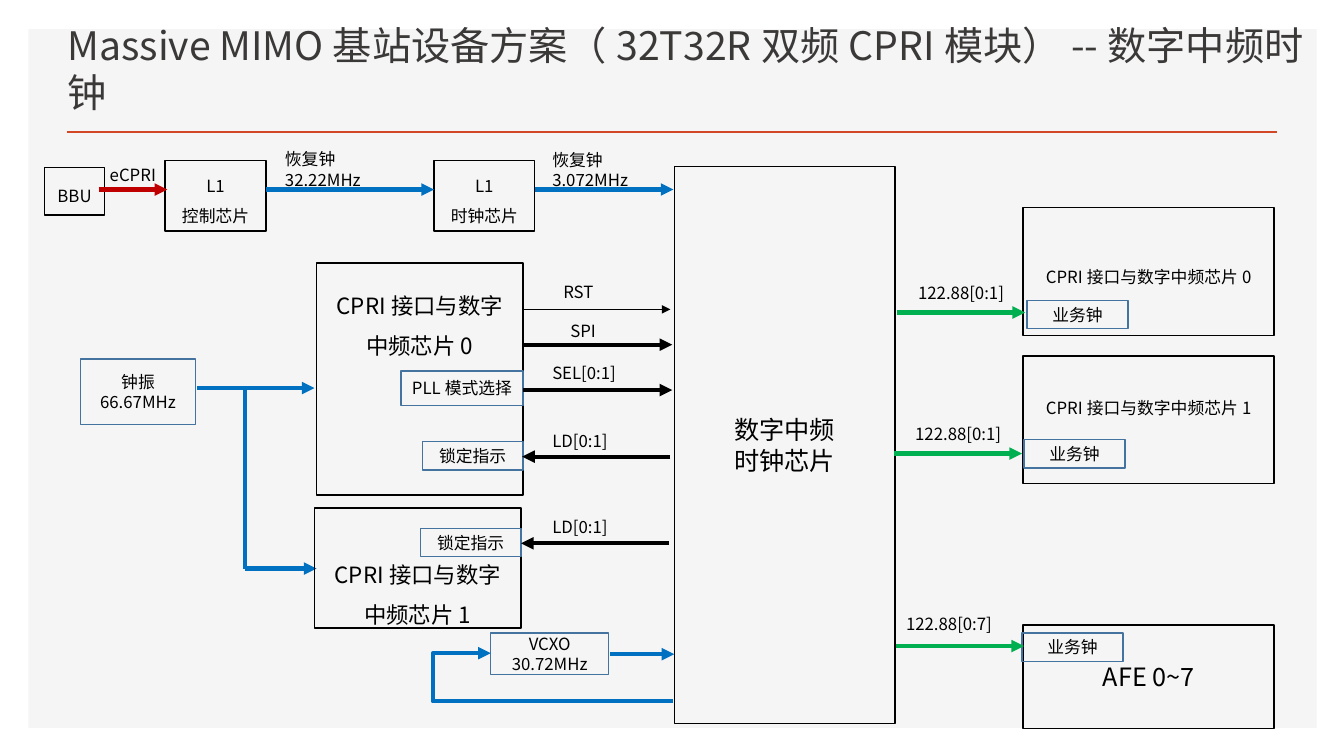
from lxml import etree
from pptx import Presentation
from pptx.dml.color import RGBColor
from pptx.enum.shapes import MSO_CONNECTOR, MSO_SHAPE
from pptx.enum.text import MSO_ANCHOR, PP_ALIGN
from pptx.oxml.ns import qn
from pptx.util import Pt

RECT = MSO_SHAPE.RECTANGLE
STRAIGHT, ELBOW = MSO_CONNECTOR.STRAIGHT, MSO_CONNECTOR.ELBOW
TOP, MIDDLE, BOTTOM = MSO_ANCHOR.TOP, MSO_ANCHOR.MIDDLE, MSO_ANCHOR.BOTTOM
LEFT, CENTER = PP_ALIGN.LEFT, PP_ALIGN.CENTER
FONT = "Noto Sans CJK SC"
COLORS = {"panel": "F5F5F5", "rule": "D24726", "title": "3B3838", "black": "000000",
          "module": "43739E", "blue": "0070C0", "green": "00B050", "red": "C00000"}
ROW = 28.6  # height of one 16 pt line at 1.5 spacing


def color(name):
    """Return the named colour."""
    return RGBColor.from_string(COLORS[name])


def write(frame, text, size, ink="black", align=LEFT, anchor=TOP, spacing=None):
    """Fill a text frame and format its paragraphs."""
    frame.word_wrap = True
    frame.vertical_anchor = anchor
    frame.text = text
    for paragraph in frame.paragraphs:
        paragraph.alignment = align
        paragraph.line_spacing = spacing
        for run in paragraph.runs:
            run.font.size = Pt(size)
            run.font.color.rgb = color(ink)
            run.font.name = FONT
            etree.SubElement(run.font._element, qn("a:ea"), typeface=FONT)


def place(origin, x, y):
    """Turn an offset from a region's corner into slide lengths."""
    return Pt(origin[0] + x), Pt(origin[1] + y)


def block(slide, origin, rect, text, size=12, edge="black", spacing=None, above=3.6, below=3.6):
    """Draw an outlined box with centred text; above and below are its insets."""
    x, y, width, height = rect
    shape = slide.shapes.add_shape(RECT, *place(origin, x, y), Pt(width), Pt(height))
    shape.shadow.inherit = False
    shape.fill.background()
    shape.line.color.rgb = color(edge)
    shape.line.width = Pt(1)
    shape.text_frame.margin_top, shape.text_frame.margin_bottom = Pt(above), Pt(below)
    write(shape.text_frame, text, size, align=CENTER, anchor=MIDDLE, spacing=spacing)


def module(slide, origin, rect, text):
    """Draw a small blue-edged block."""
    block(slide, origin, rect, text, edge="module")


def label(slide, origin, rect, text, size=12, **style):
    """Place free text."""
    x, y, width, height = rect
    box = slide.shapes.add_textbox(*place(origin, x, y), Pt(width), Pt(height))
    write(box.text_frame, text, size, **style)


def wire(slide, origin, start, end, ink, width=3, head=True, kind=STRAIGHT):
    """Connect two points, with an arrowhead at the end if wanted."""
    link = slide.shapes.add_connector(kind, *place(origin, *start), *place(origin, *end))
    link.line.color.rgb = color(ink)
    link.line.width = Pt(width)
    if head:
        etree.SubElement(link.line._get_or_add_ln(), qn("a:tailEnd"), type="triangle")
    etree.SubElement(link._element.spPr, qn("a:effectLst"))
    return link


def header(slide, box):
    """Draw the grey panel, the title and the rule below it."""
    x, y, width, height = box
    panel = slide.shapes.add_shape(RECT, Pt(x), Pt(y), Pt(width), Pt(height))
    panel.shadow.inherit = False
    panel.fill.solid()
    panel.fill.fore_color.rgb = color("panel")
    panel.line.fill.background()
    wire(slide, box, (27.4, 73.4), (892.2, 73.4), "rule", 2, head=False)
    label(slide, box, (21, 14.4, 910, 50.4),
          "Massive MIMO基站设备方案（32T32R双频CPRI模块）--数字中频时钟",
          28, ink="title", anchor=BOTTOM)


def recovered_clock_chain(slide, origin):
    """Draw the path from BBU through the two L1 chips."""
    block(slide, origin, (0, 16.5, 42.5, 34), "BBU", spacing=1.5)
    for x, role in ((86, "控制芯片"), (278, "时钟芯片")):
        block(slide, origin, (x, 11.5, 72, 50.5), f"L1\n{role}", spacing=1.5)
    for start, end, ink in ((38.5, 87.5, "red"), (158, 278, "blue"), (350, 449, "blue")):
        wire(slide, origin, (start, 32.4), (end, 32.4), ink)
    label(slide, origin, (39.3, 10.8, 49, 21.6), "eCPRI")
    label(slide, origin, (164.5, 0, 124, 36), "恢复钟\n32.22MHz")
    label(slide, origin, (355.4, 0.5, 79, 36), "恢复钟\n3.072MHz")


def oscillator(slide, origin):
    """Draw the oscillator and its feeds to both interface chips."""
    module(slide, origin, (0, 0, 82, 46.8), "钟振\n66.67MHz")
    wire(slide, origin, (82.8, 20.9), (167, 20.9), "blue")
    wire(slide, origin, (117.4, 149.8), (117.4, 20.2), "blue", head=False)
    wire(slide, origin, (117.4, 149.8), (168.5, 149.8), "blue")


def interface_chip(slide, box, number, lock_y, above=0, below=0):
    """Draw an interface chip with its lock indicator."""
    x, y, width, height = box
    block(slide, box, (0, 0, width, height), f"CPRI接口与数字中频芯片{number}", 16,
          spacing=1.5, above=above, below=below)
    module(slide, box, (width - 72, lock_y, 72, 20.2), "锁定指示")


def control_signals(slide, origin):
    """Draw the labelled signals between interface chips and clock chip."""
    signals = (("RST", 22.3, 0, 23, 0.7, 105.8, 1),
               ("SPI", 27.3, 27.4, 48.2, 0, 107.2, 3),
               ("SEL[0:1]", 14.4, 57.6, 80.6, 0.7, 107.2, 3),
               ("LD[0:1]", 14.4, 105.8, 128.2, 105.8, 0, 3),
               ("LD[0:1]", 14.4, 167.8, 190.1, 105, -0.8, 3))
    for name, x, y, wire_y, start, end, width in signals:
        label(slide, origin, (x, y, 88, 21.6), name)
        wire(slide, origin, (start, wire_y), (end, wire_y), "black", width)


def vcxo_loop(slide, origin):
    """Draw the VCXO and its loop with the clock chip."""
    module(slide, origin, (0, 0, 84.2, 29.5), "VCXO\n30.72MHz")
    wire(slide, origin, (85, 15.1), (131, 15.1), "blue")
    loop = wire(slide, origin, (130.4, 48.8), (0, 14.4), "blue", kind=ELBOW)
    geometry = loop._element.spPr.find(qn("a:prstGeom"))
    guides = geometry.find(qn("a:avLst"))
    if guides is None:
        guides = etree.SubElement(geometry, qn("a:avLst"))
    etree.SubElement(guides, qn("a:gd"), name="adj1", fmla="val 131800")


def clock_receiver(slide, box, name, size, clock, arrow, signal, signal_at, **style):
    """Draw a receiving chip with its service clock and incoming signal."""
    x, y, width, height = box
    block(slide, box, (0, 0, width, height), name, size, **style)
    module(slide, box, (*clock, 72, 20.2), "业务钟")
    start, arrow_y = arrow
    wire(slide, box, (start, arrow_y), (start + 91.4, arrow_y), "green")
    label(slide, box, (*signal_at, 84, 21.6), signal)


def main():
    """Build and save the slide."""
    deck = Presentation()
    deck.slide_width, deck.slide_height = Pt(960), Pt(540)
    slide = deck.slides.add_slide(deck.slide_layouts[6])
    header(slide, (20.2, 20.9, 920.2, 499))
    block(slide, (481.7, 118.8), (0, 0, 157.7, 398.2), "数字中频\n时钟芯片", 18)
    recovered_clock_chain(slide, (32, 103))
    oscillator(slide, (57.6, 256.3))
    chip_0 = (226, 188, 147.6, 165.6)
    interface_chip(slide, chip_0, 0, 127.4, below=3 * ROW)
    module(slide, chip_0, (60.5, 77, 87, 24.5), "PLL模式选择")
    interface_chip(slide, (224.6, 362.9, 147.6, 85.7), 1, 14.4, above=ROW)
    control_signals(slide, (373, 198))
    vcxo_loop(slide, (350.6, 452.2))
    clock_receiver(slide, (730.8, 148.3, 179.3, 91.4), "CPRI接口与数字中频芯片0", 12,
                   (2.9, 66.2), (-90, 74.9), "122.88[0:1]", (-82.1, 50.4), spacing=1.5)
    clock_receiver(slide, (730.8, 254.2, 179.3, 91.4), "CPRI接口与数字中频芯片1", 12,
                   (0.7, 59.8), (-92.2, 69.8), "122.88[0:1]", (-84.2, 44.6),
                   spacing=1.5, below=ROW)
    clock_receiver(slide, (730.8, 446.4, 179.3, 74.2), "AFE 0~7", 18,
                   (-0.7, 5.8), (-90.7, 15.1), "122.88[0:7]", (-90.7, -11.5))
    deck.save("out.pptx")


main()
